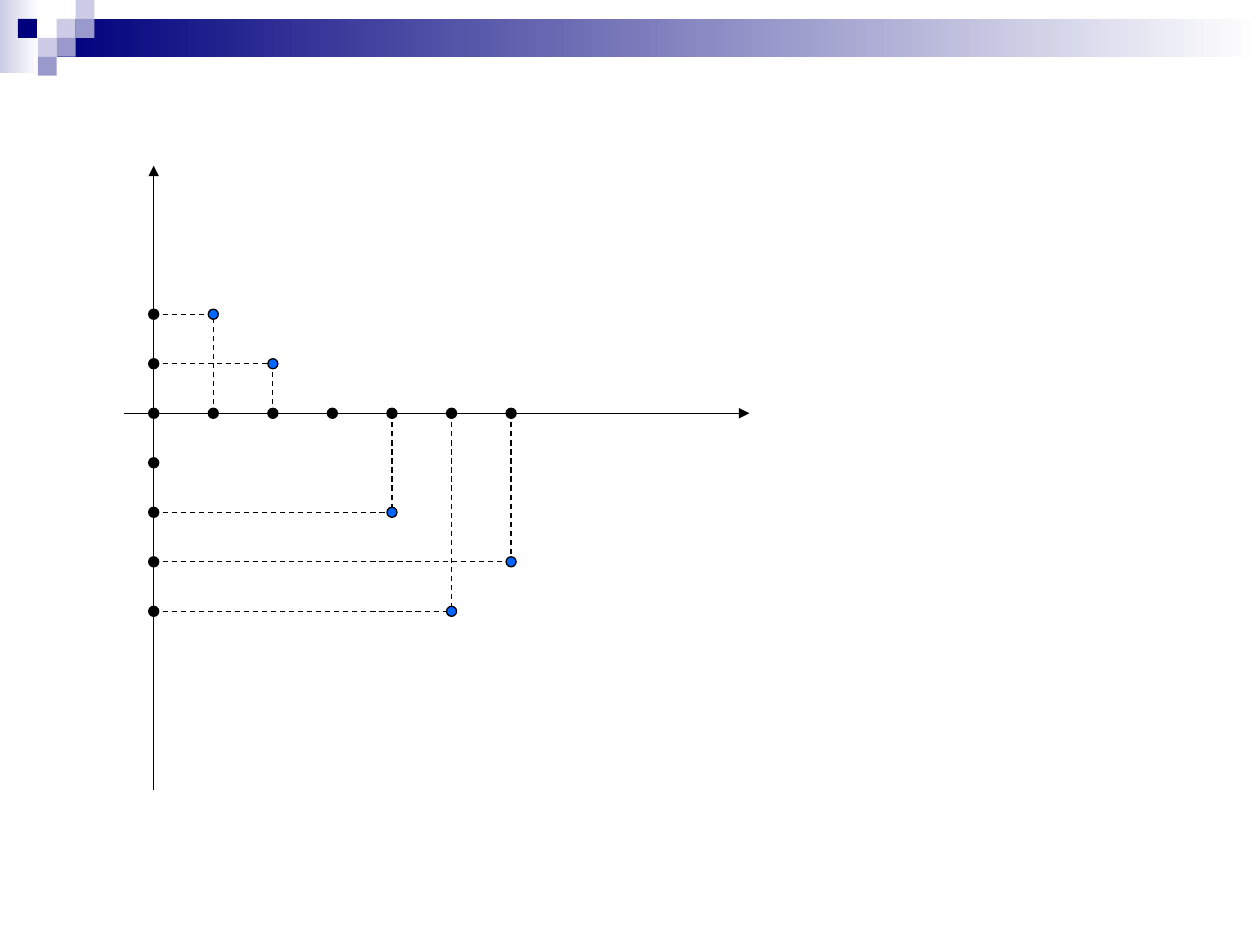
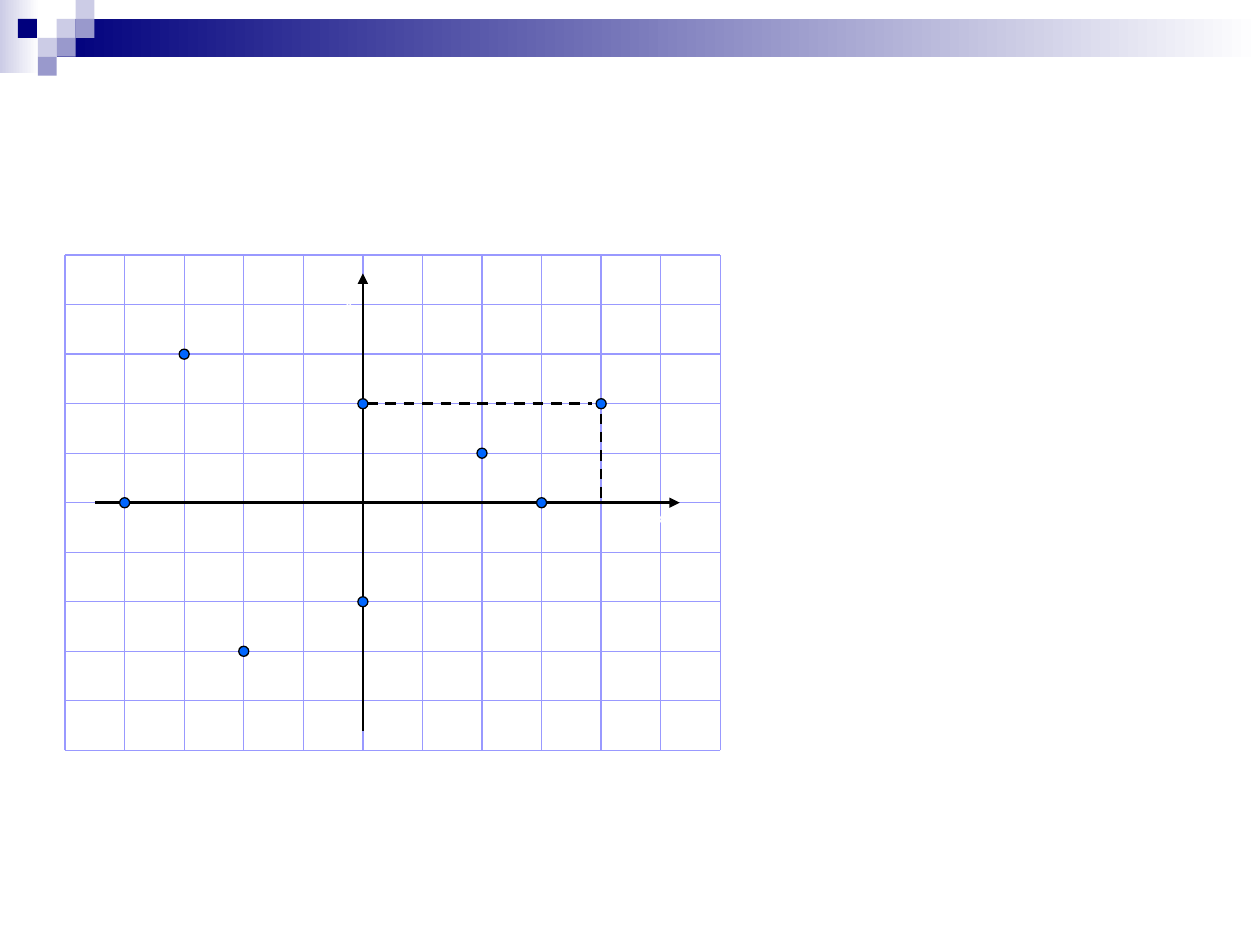
"""Builds two slides that show points on a coordinate plane."""
from dataclasses import dataclass

from pptx import Presentation
from pptx.dml.color import RGBColor
from pptx.enum.dml import MSO_LINE
from pptx.enum.shapes import MSO_CONNECTOR, MSO_SHAPE
from pptx.enum.text import MSO_AUTO_SIZE
from pptx.oxml.ns import qn
from pptx.util import Inches, Pt
from lxml.etree import SubElement


@dataclass(frozen=True)
class Theme:
    """Colours, type and line sizes of the deck."""
    navy: str = "00007D"
    violet: str = "9999CC"
    pale: str = "CCCCE6"
    white: str = "FFFFFF"
    black: str = "000000"
    point: str = "0066FF"
    grid: str = "9999FF"
    font: str = "Arial"
    label: float = 12
    space: float = 7.5
    thin: float = 0.75
    thick: float = 1.5


class Plane:
    """Draws on the current slide in cells of a coordinate plane."""
    cell_w, cell_h = 5.2 / 11, 3.93 / 10
    square, dot_size = 0.15, 0.08

    def __init__(self, prs, theme):
        self.prs, self.theme = prs, theme
        self.layout = prs.slide_layouts[6]
        self.s, self.origin = None, (0, 0)

    def new_slide(self, left, top):
        """Starts a slide whose plane has its origin at the given place."""
        self.s = self.prs.slides.add_slide(self.layout)
        self.origin = left, top

    def at(self, x, y):
        """Turns plane coordinates into lengths on the slide."""
        left, top = self.origin
        return Inches(left + x * self.cell_w), Inches(top - y * self.cell_h)

    def block(self, col, row, cols, rows, color, fade=False):
        """Puts a rectangle of header squares on the shared layout."""
        box = [Inches(v * self.square) for v in (col, row, cols, rows)]
        sp = self.s.shapes.add_shape(MSO_SHAPE.RECTANGLE, *box)
        sp.shadow.inherit = False
        sp.line.fill.background()
        if fade:
            sp.fill.gradient()
            sp.fill.gradient_angle = 0
            for stop, tone in zip(sp.fill.gradient_stops, (color, self.theme.white)):
                stop.color.rgb = RGBColor.from_string(tone)
        else:
            sp.fill.solid()
            sp.fill.fore_color.rgb = RGBColor.from_string(color)
        self.layout.shapes.element.append(sp.element)

    def line(self, start, end, color, width, dash=False, arrow=False):
        """Adds a straight line between two plane coordinates."""
        cn = self.s.shapes.add_connector(
            MSO_CONNECTOR.STRAIGHT, *self.at(*start), *self.at(*end))
        cn.line.color.rgb = RGBColor.from_string(color)
        cn.line.width = Pt(width)
        if dash:
            cn.line.dash_style = MSO_LINE.DASH
        if arrow:
            SubElement(cn.line._get_or_add_ln(), qn("a:tailEnd"), type="triangle")
        SubElement(cn.element.spPr, qn("a:effectLst"))

    def axes(self, x_range, y_range, width):
        """Adds both axes with arrowheads."""
        for start, end in (((x_range[0], 0), (x_range[1], 0)),
                           ((0, y_range[0]), (0, y_range[1]))):
            self.line(start, end, self.theme.black, width, arrow=True)

    def grid(self, cols, rows):
        """Rules the plane at every whole coordinate."""
        (x0, x1), (y0, y1) = cols, rows
        for y in range(y0, y1 + 1):
            self.line((x0, y), (x1, y), self.theme.grid, self.theme.thin)
        for x in range(x0, x1 + 1):
            self.line((x, y0), (x, y1), self.theme.grid, self.theme.thin)

    def dots(self, points, color):
        """Adds round marks centred on the given coordinates."""
        size = Inches(self.dot_size)
        for point in points:
            x, y = self.at(*point)
            sp = self.s.shapes.add_shape(MSO_SHAPE.FLOWCHART_CONNECTOR,
                                         x - size // 2, y - size // 2, size, size)
            sp.shadow.inherit = False
            sp.fill.solid()
            sp.fill.fore_color.rgb = RGBColor.from_string(color)
            sp.line.color.rgb = RGBColor.from_string(self.theme.black)
            sp.line.width = Pt(self.theme.thin)

    def label(self, text, x, y):
        """Adds an axis name."""
        tf = self.s.shapes.add_textbox(
            *self.at(x, y), Inches(0.31), Inches(0.3)).text_frame
        tf.word_wrap = True
        tf.auto_size = MSO_AUTO_SIZE.SHAPE_TO_FIT_TEXT
        p = tf.paragraphs[0]
        p.space_before = Pt(self.theme.space)
        r = p.add_run()
        r.text = text
        r.font.name, r.font.size = self.theme.font, Pt(self.theme.label)
        r.font.color.rgb = RGBColor.from_string(self.theme.white)


def add_header(plane):
    """Builds the band and squares that all slides share."""
    t = plane.theme
    plane.block(0, 0, 2.07, 3.87, t.pale, fade=True)
    plane.block(3, 1, 63.67, 2, t.navy, fade=True)
    for col, row, color in ((3, 1, t.pale), (4, 0, t.pale), (4, 1, t.violet),
                            (2, 2, t.pale), (0.95, 1, t.navy),
                            (3, 2, t.violet), (2, 3, t.violet)):
        plane.block(col, row, 1, 1, color)


def add_projections(plane):
    """Shows points with dashed projections to both axes."""
    t = plane.theme
    points = [(1, 2), (2, 1), (4, -2), (6, -3), (5, -4)]
    plane.axes((-0.5, 10), (-7.6, 5), t.thin)
    plane.dots([(x, 0) for x in range(7)], t.black)
    plane.dots([(0, y) for y in range(-4, 3) if y], t.black)
    for x, y in points:
        for foot in ((0, y), (x, 0)):
            plane.line(foot, (x, y), t.black, t.thin, dash=True)
    plane.dots(points, t.point)


def add_quadrants(plane):
    """Shows points in all quadrants over a ruled grid."""
    t = plane.theme
    plane.grid((-5, 6), (-5, 5))
    plane.axes((-4.5, 5.32), (-4.6, 4.63), t.thick)
    plane.label("y", -0.53, 4.48)
    plane.label("x", 4.68, 0.08)
    plane.dots([(-2, -3), (4, 2), (-3, 3), (-4, 0),
                (0, -2), (0, 2), (2, 1), (3, 0)], t.point)
    plane.line((4, 1.8), (4, 0), t.black, t.thick, dash=True)
    plane.line((0.07, 2), (3.84, 2), t.black, t.thick, dash=True)


def main():
    """Builds and saves the deck."""
    prs = Presentation()
    prs.slide_width, prs.slide_height = Inches(10), Inches(7.5)
    plane = Plane(prs, Theme())
    plane.new_slide(1.22, 3.28)
    add_header(plane)
    add_projections(plane)
    plane.new_slide(2.88, 3.99)
    add_quadrants(plane)
    prs.save("out.pptx")


if __name__ == "__main__":
    main()
